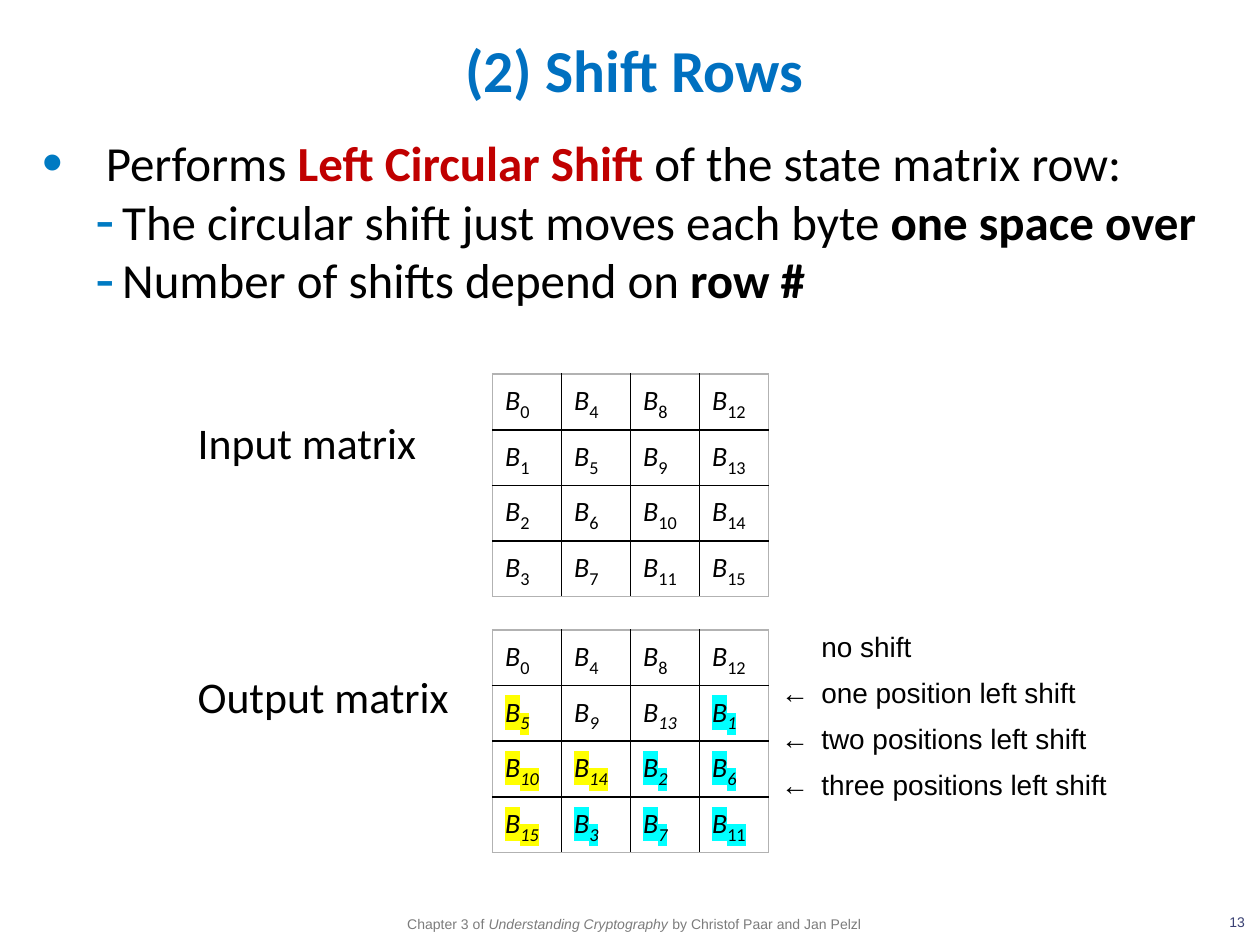
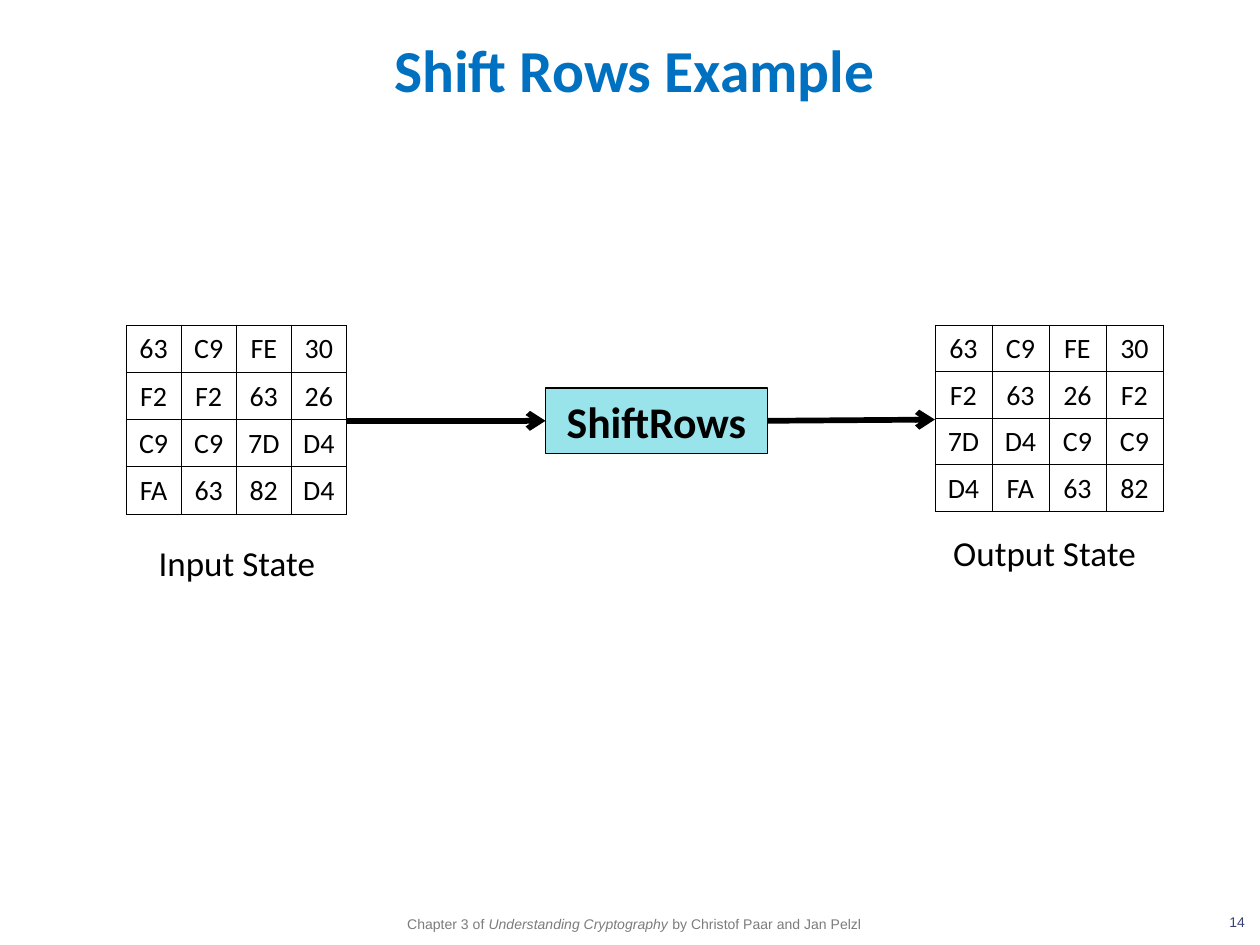
from lxml.etree import SubElement
from pptx import Presentation
from pptx.dml.color import RGBColor
from pptx.enum.shapes import MSO_CONNECTOR, MSO_SHAPE
from pptx.enum.text import MSO_ANCHOR, MSO_AUTO_SIZE, PP_ALIGN
from pptx.oxml.ns import qn
from pptx.util import Inches, Pt

BLACK, BLUE, RED, BULLET_BLUE = "000000", "0070C0", "C00000", "007AC2"
GRAY, NAVY, TEAL, OUTLINE = "7C7C7C", "394073", "99E3EB", "B2B2B2"
YELLOW, CYAN = "FFFF00", "00FFFF"
TITLES = ["(2) Shift Rows", "Shift Rows Example"]
FIRST_NUMBER = 13
FOOTER = [("Chapter 3 of ", {}), ("Understanding Cryptography", {"italic": True}),
          (" by Christof Paar and Jan Pelzl", {})]
POINTS = [
    (0, "•", [("Performs ", {}), ("Left Circular Shift ", {"color": RED, "bold": True}),
              ("of the state matrix row:", {})]),
    (1, "-", [("The circular shift just moves each byte ", {}), ("one space over", {"bold": True})]),
    (1, "-", [("Number of shifts depend on ", {}), ("row #", {"bold": True})]),
]
POINT_INDENTS = [(0.5, -0.5), (0.63, -0.21)]
SHIFT_NOTES = ["no shift", "←\tone position left shift", "←\ttwo positions left shift",
               "←\tthree positions left shift"]
SIZE = 4
BYTE_INDEXES = [[row + SIZE * column for column in range(SIZE)] for row in range(SIZE)]
INPUT_STATE = [row.split() for row in ("63 C9 FE 30", "F2 F2 63 26", "C9 C9 7D D4", "FA 63 82 D4")]


def shift_rows(matrix):
    return [row[shift:] + row[:shift] for shift, row in enumerate(matrix)]


def rgb(color):
    return RGBColor.from_string(color)


def style(font, size, name="Calibri", color=BLACK, bold=False, italic=False):
    font.size, font.name, font.bold, font.italic = Pt(size), name, bold, italic
    font.color.rgb = rgb(color)


def add_runs(paragraph, runs, size, **shared):
    for text, changes in runs:
        run = paragraph.add_run()
        run.text = text
        style(run.font, size, **{**shared, **changes})


def add_text(slide, box, text, size, align=PP_ALIGN.LEFT, wrap=True, **look):
    frame = slide.shapes.add_textbox(*map(Inches, box)).text_frame
    frame.word_wrap = wrap
    frame.text = text
    for paragraph in frame.paragraphs:
        paragraph.alignment = align
        for run in paragraph.runs:
            style(run.font, size, **look)
    return frame


def clear_margins(frame):
    frame.margin_left = frame.margin_right = frame.margin_top = frame.margin_bottom = 0


def place(shape, box):
    shape.left, shape.top, shape.width, shape.height = map(Inches, box)


def set_indent(paragraph, left, first):
    properties = paragraph._p.get_or_add_pPr()
    properties.set("marL", str(Inches(left)))
    properties.set("indent", str(Inches(first)))
    return properties


def add_bullet(paragraph, character, left, first):
    properties = set_indent(paragraph, left, first)
    color = SubElement(properties, qn("a:buClr"))
    SubElement(color, qn("a:srgbClr"), val=BULLET_BLUE)
    SubElement(properties, qn("a:buSzPct"), val="120000")
    SubElement(properties, qn("a:buChar"), char=character)


def add_borders(cell, width, colors):
    properties = cell._tc.get_or_add_tcPr()
    for side, color in zip("LRTB", colors):
        line = SubElement(properties, qn(f"a:ln{side}"), w=str(Pt(width)))
        SubElement(SubElement(line, qn("a:solidFill")), qn("a:srgbClr"), val=color)


def add_grid(slide, box, matrix, write_cell, margins, border, edge):
    table = slide.shapes.add_table(SIZE, SIZE, *map(Inches, box)).table
    table.first_row = table.horz_banding = False
    last = SIZE - 1
    for row in range(SIZE):
        table.rows[row].height = Inches(box[3] / SIZE)
        table.columns[row].width = Inches(box[2] / SIZE)
        for column in range(SIZE):
            cell = table.cell(row, column)
            outer = (column == 0, column == last, row == 0, row == last)
            add_borders(cell, border, [edge if is_outer else BLACK for is_outer in outer])
            cell.fill.background()
            cell.vertical_anchor = MSO_ANCHOR.MIDDLE
            cell.margin_left, cell.margin_top, cell.margin_right, cell.margin_bottom = map(Inches, margins)
            write_cell(cell.text_frame.paragraphs[0], matrix[row][column], row, column)


def write_byte(paragraph, index, italic_index=False, highlight=None):
    add_runs(paragraph, [("B", {"italic": True})], 16)
    add_runs(paragraph, [(str(index), {"italic": italic_index})], 18)
    paragraph.runs[1]._r.rPr.set("baseline", "-25000")
    if highlight:
        for run in paragraph.runs:
            properties = run._r.rPr
            mark = SubElement(properties, qn("a:highlight"))
            SubElement(mark, qn("a:srgbClr"), val=highlight)
            properties.find(qn("a:solidFill")).addnext(mark)


def write_input_byte(paragraph, index, row, column):
    write_byte(paragraph, index)


def write_output_byte(paragraph, index, row, column):
    highlight = CYAN if column >= SIZE - row else YELLOW if column < row else None
    write_byte(paragraph, index, row > 0 and index != 11, highlight)


def write_value(paragraph, value, row, column):
    paragraph.alignment = PP_ALIGN.CENTER
    add_runs(paragraph, [(value, {})], 16)


def add_arrow(slide, start, end):
    arrow = slide.shapes.add_connector(MSO_CONNECTOR.STRAIGHT, *map(Inches, start + end))
    arrow.line.width = Pt(3.25)
    arrow.line.color.rgb = rgb(BLACK)
    SubElement(arrow.line._get_or_add_ln(), qn("a:tailEnd"), type="arrow")
    SubElement(arrow._element.spPr, qn("a:effectLst"))
    return arrow


def add_slide(presentation, layout, position):
    slide = presentation.slides.add_slide(presentation.slide_layouts[layout])
    title = slide.shapes.title
    place(title, (0.26, 0.17, 9.55, 0.75))
    title.text_frame.text = TITLES[position]
    title.text_frame.auto_size = MSO_AUTO_SIZE.NONE
    title.text_frame.vertical_anchor = MSO_ANCHOR.MIDDLE
    paragraph = title.text_frame.paragraphs[0]
    paragraph.alignment = PP_ALIGN.CENTER
    style(paragraph.runs[0].font, 34, color=BLUE, bold=True)
    clear_margins(add_text(slide, (9.33, 7.25, 0.55, 0.2), str(FIRST_NUMBER + position), 8,
                           PP_ALIGN.RIGHT, name="Arial", color=NAVY))
    footer = add_text(slide, (2.67, 7.24, 4.73, 0.24), "", 8, PP_ALIGN.CENTER)
    clear_margins(footer)
    footer.paragraphs[0].line_spacing = 1.2
    add_runs(footer.paragraphs[0], FOOTER, 8, name="Arial", color=GRAY)
    return slide


def build_shift_rows(presentation):
    slide = add_slide(presentation, 1, 0)
    body = slide.placeholders[1]
    place(body, (0.24, 1, 9.6, 1.67))
    frame = body.text_frame
    frame.auto_size = MSO_AUTO_SIZE.NONE
    for position, (level, character, runs) in enumerate(POINTS):
        paragraph = frame.add_paragraph() if position else frame.paragraphs[0]
        paragraph.level = level
        add_bullet(paragraph, character, *POINT_INDENTS[level])
        paragraph.space_before = Pt(0)
        add_runs(paragraph, runs, 28)

    matrix_margins = (0.1, 0.05, 0.1, 0.05)
    matrices = [
        ("Input matrix", 3.25, 2.97, BYTE_INDEXES, write_input_byte),
        ("Output matrix", 5.27, 5, shift_rows(BYTE_INDEXES), write_output_byte),
    ]
    for label, label_top, top, matrix, write_cell in matrices:
        add_text(slide, (1.47, label_top, 2.26, 0.52), label, 25, wrap=False)
        add_grid(slide, (3.91, top, 2.19, 1.47), matrix, write_cell, matrix_margins, 1, OUTLINE)

    notes = add_text(slide, (5.42, 4.95, 3.51, 1.48), "\n".join(SHIFT_NOTES), 16, name="Arial")
    for position, paragraph in enumerate(notes.paragraphs):
        set_indent(paragraph, 1, -0.32 if position else 0)
        paragraph.space_before = Pt(7 if position else 0)


def build_example(presentation):
    slide = add_slide(presentation, 5, 1)
    states = [
        ("Input State", (0.92, 4.25), (1, 2.58, 1.75, 1.5), INPUT_STATE),
        ("Output State", (7.33, 4.17), (7.42, 2.58, 1.81, 1.48), shift_rows(INPUT_STATE)),
    ]
    for label, corner, box, matrix in states:
        add_grid(slide, box, matrix, write_value, (0.01, 0.01, 0.01, 0), 0.5, BLACK)
        add_text(slide, corner + (1.92, 0.44), label, 20, PP_ALIGN.CENTER)

    step = slide.shapes.add_shape(MSO_SHAPE.RECTANGLE, *map(Inches, (4.33, 3.08, 1.76, 0.52)))
    step.shadow.inherit = False
    step.fill.solid()
    step.fill.fore_color.rgb = rgb(TEAL)
    step.line.color.rgb = rgb(BLACK)
    step.line.width = Pt(0.75)
    step.text_frame.word_wrap = False
    step.text_frame.text = "ShiftRows"
    step.text_frame.paragraphs[0].alignment = PP_ALIGN.CENTER
    style(step.text_frame.paragraphs[0].runs[0].font, 25, bold=True)
    add_arrow(slide, (2.75, 3.34), (4.33, 3.34)).end_connect(step, 1)
    add_arrow(slide, (6.09, 3.34), (7.42, 3.33)).begin_connect(step, 3)


def main():
    presentation = Presentation()
    presentation.slide_width, presentation.slide_height = Inches(10), Inches(7.5)
    build_shift_rows(presentation)
    build_example(presentation)
    presentation.save("out.pptx")


if __name__ == "__main__":
    main()
